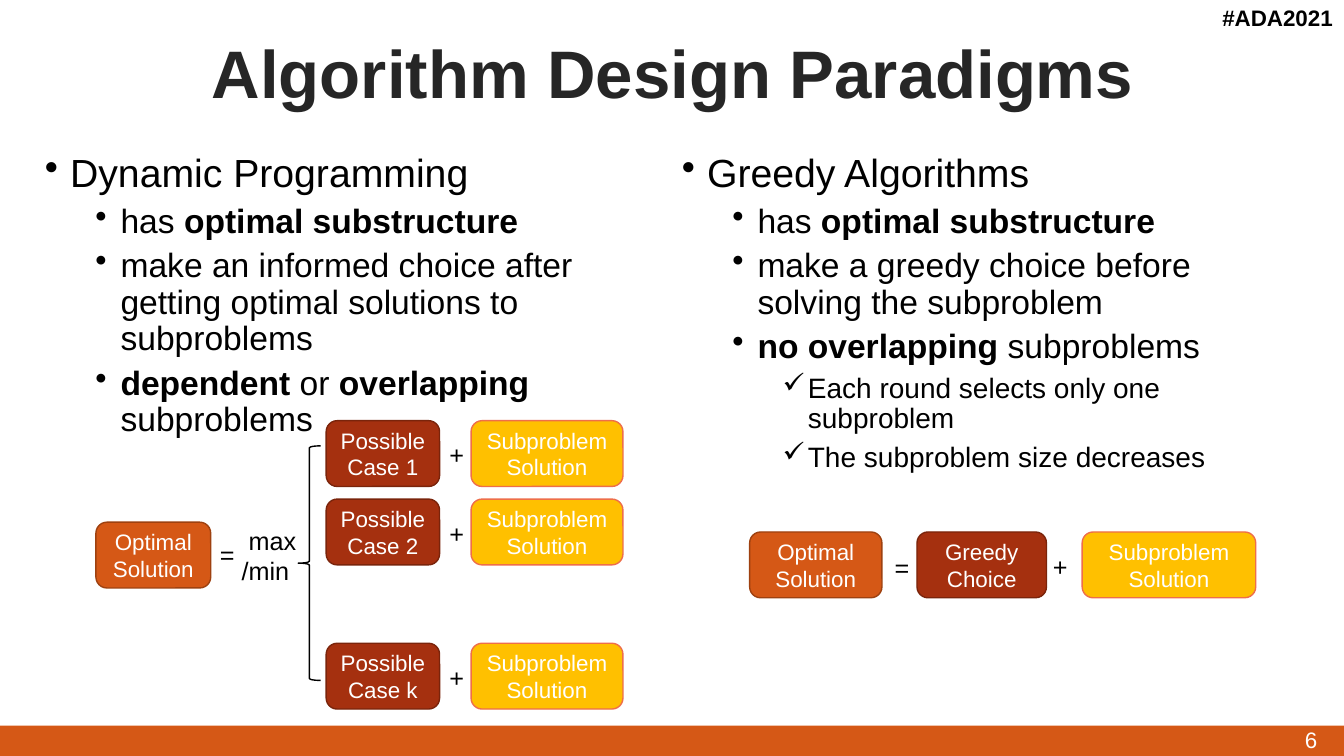
from dataclasses import dataclass

from lxml import etree
from pptx import Presentation
from pptx.dml.color import RGBColor
from pptx.enum.shapes import MSO_SHAPE
from pptx.enum.text import MSO_ANCHOR, PP_ALIGN
from pptx.oxml.ns import qn
from pptx.util import Pt

RECT, ROUNDED, BRACE = MSO_SHAPE.RECTANGLE, MSO_SHAPE.ROUNDED_RECTANGLE, MSO_SHAPE.LEFT_BRACE
CENTER, LEFT = PP_ALIGN.CENTER, PP_ALIGN.LEFT
TOP, MIDDLE = MSO_ANCHOR.TOP, MSO_ANCHOR.MIDDLE


@dataclass(frozen=True)
class Theme:
    font: str = "Arial"
    text: str = "000000"
    title: str = "262626"
    white: str = "FFFFFF"
    # fill and outline of each kind of box
    optimal: tuple = ("D55816", "9E4110")
    choice: tuple = ("A5300F", "7A240B")
    subproblem: tuple = ("FFC000", "EE6E4A")
    title_size: int = 48
    level_sizes: tuple = (28, 24, 20)
    symbol_size: int = 18
    label_size: int = 16


T = Theme()


def add_text(sp, text, size=T.symbol_size, color=T.text, bold=False, align=LEFT,
             anchor=TOP, wrap=True, indent=0, bullet=None, line_spacing=None):
    """Append a paragraph to sp; parts between asterisks toggle bold."""
    tf = sp.text_frame
    tf.word_wrap, tf.vertical_anchor = wrap, anchor
    first = not tf.text
    p = tf.paragraphs[0] if first else tf.add_paragraph()
    pPr = p._p.get_or_add_pPr()
    pPr.set("marL", str(Pt(indent)))
    if bullet:
        pPr.set("indent", str(Pt(-18)))
        etree.SubElement(pPr, qn("a:buChar"), char=bullet)
        if not first:
            p.space_before = Pt(6)
    p.alignment = align
    if line_spacing:
        p.line_spacing = line_spacing
    for i, part in enumerate(text.split("*")):
        if part:
            r = p.add_run()
            r.text = part
            r.font.name, r.font.size = T.font, Pt(size)
            r.font.bold = bold or i % 2 == 1
            r.font.color.rgb = RGBColor.from_string(color)


def add_box(shapes, left, top, width, height, kind=None, fill=None, line=None):
    """Add a preset shape, or a text box when kind is None."""
    frame = [Pt(v) for v in (left, top, width, height)]
    if kind is None:
        return shapes.add_textbox(*frame)
    sp = shapes.add_shape(kind, *frame)
    sp.shadow.inherit = False
    if fill:
        sp.fill.solid()
        sp.fill.fore_color.rgb = RGBColor.from_string(fill)
    else:
        sp.fill.background()
    if line:
        sp.line.color.rgb = RGBColor.from_string(line)
        sp.line.width = Pt(1)
    else:
        sp.line.fill.background()
    return sp


prs = Presentation()
prs.slide_width, prs.slide_height = Pt(960), Pt(540)
s = prs.slides.add_slide(prs.slide_layouts[6])

# Header and footer
add_text(add_box(s.shapes, 866, -0.5, 94, 26.5), "#ADA2021",
         size=T.label_size, bold=True, wrap=False)
add_box(s.shapes, 0, 518.4, 960, 21.6, RECT, T.optimal[0])
add_text(add_box(s.shapes, 925, 515, 38, 29), "6", size=T.label_size, color=T.white)
add_text(add_box(s.shapes, 25, 26.5, 911.5, 57), "Algorithm Design Paradigms",
         size=T.title_size, color=T.title, bold=True, align=CENTER, anchor=MIDDLE,
         line_spacing=0.9)

# Bullet columns: left edge, then (level, text)
columns = [
    (25, [(0, "Dynamic Programming"),
          (1, "has *optimal substructure*"),
          (1, "make an informed choice after getting optimal solutions to subproblems"),
          (1, "*dependent *or* overlapping* subproblems")]),
    (480, [(0, "Greedy Algorithms"),
           (1, "has *optimal substructure*"),
           (1, "make a greedy choice before solving the subproblem"),
           (1, "*no overlapping *subproblems"),
           (2, "Each round selects only one subproblem"),
           (2, "The subproblem size decreases")]),
]
for left, items in columns:
    body = add_box(s.shapes, left, 106, 455, 394.5)
    for level, text in items:
        add_text(body, text, size=T.level_sizes[level], indent=18 + 36 * level,
                 bullet="••✓"[level], line_spacing=0.9)

dynamic = s.shapes.add_group_shape().shapes
greedy = s.shapes.add_group_shape().shapes

# Labelled boxes: group, left, top, width, style, text
boxes = [
    (dynamic, 68.5, 373, 82, T.optimal, "Optimal Solution"),
    (greedy, 535.5, 380, 94.5, T.optimal, "Optimal Solution"),
    (greedy, 655, 380, 92.5, T.choice, "Greedy Choice"),
    (greedy, 773, 380, 124, T.subproblem, "Subproblem Solution"),
]
# Symbols: group, left, top, width, text
symbols = [
    (dynamic, 150, 381.5, 27, "="),
    (greedy, 632, 391, 32, "="),
    (greedy, 745, 390, 26, "+"),
]
for case, top in (("1", 300.5), ("2", 356.5), ("k", 459.5)):
    boxes += [(dynamic, 233, top, 81, T.choice, f"Possible Case {case}"),
              (dynamic, 336.5, top, 108.5, T.subproblem, "Subproblem Solution")]
    symbols.append((dynamic, 314, top + 10, 22.5, "+"))

for shapes, left, top, width, style, text in boxes:
    add_text(add_box(shapes, left, top, width, 47, ROUNDED, *style), text,
             size=T.label_size, color=T.white, align=CENTER, anchor=MIDDLE)
for shapes, left, top, width, text in symbols:
    add_text(add_box(shapes, left, top, width, 29), text, wrap=text == "+")

# Choice over all cases
max_min = add_box(dynamic, 160.5, 371.5, 59, 73)
add_text(max_min, "max", indent=10)
add_text(max_min, "/min", indent=5)
add_box(dynamic, 213, 318.5, 16, 167.5, BRACE, line=T.text)

prs.save("out.pptx")
